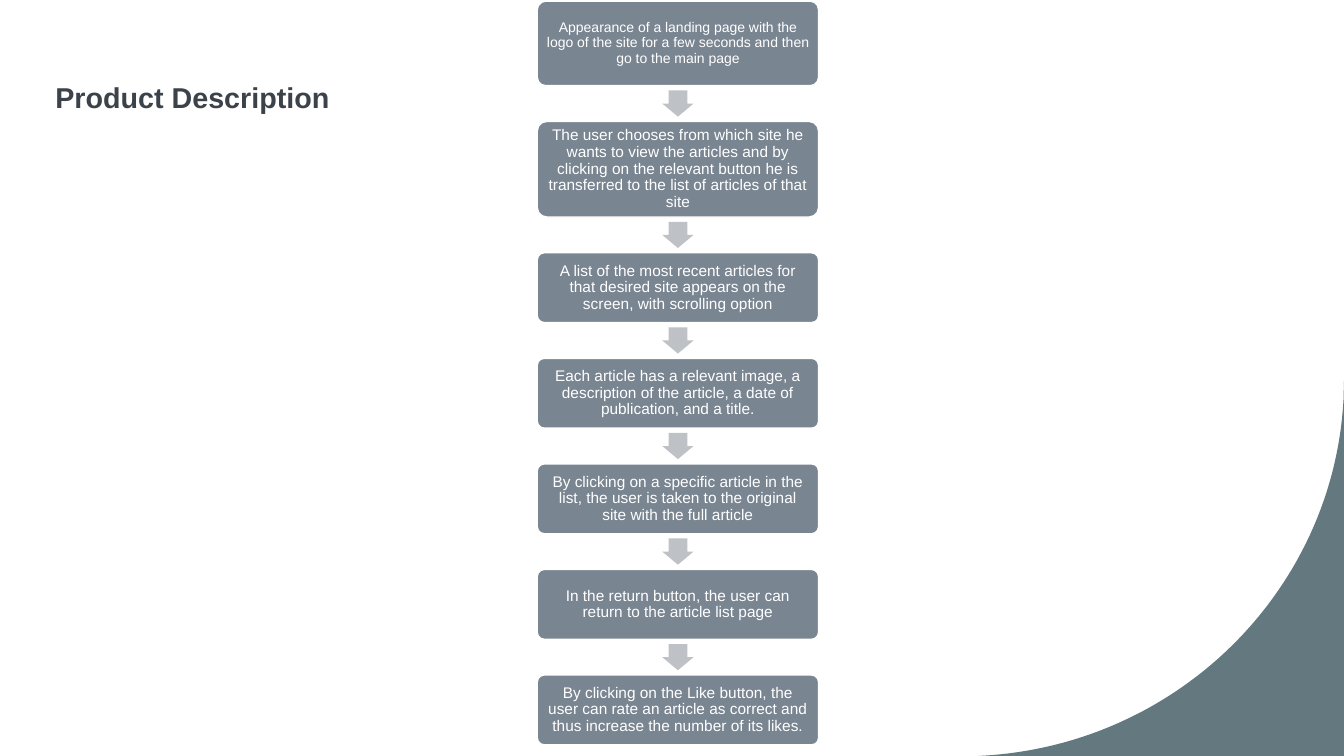
"""Build the product description slide with its vertical flow of user steps."""
from pptx import Presentation
from pptx.dml.color import RGBColor
from pptx.enum.shapes import MSO_SHAPE as Shape
from pptx.enum.text import MSO_ANCHOR as Anchor, MSO_AUTO_SIZE as AutoSize, PP_ALIGN as Align
from pptx.util import Cm, Pt

WHITE = RGBColor(0xFF, 0xFF, 0xFF)
TITLE_GREY = RGBColor(0x3C, 0x42, 0x4A)
STEP_GREY = RGBColor(0x7A, 0x85, 0x92)
ARROW_GREY = RGBColor(0xBE, 0xC2, 0xC7)
CORNER_TEAL = RGBColor(0x63, 0x78, 0x7F)

STEPS = [
    ("Appearance of a landing page with the logo of the site for a few seconds "
     "and then go to the main page", 2.13, 10),
    ("The user chooses from which site he wants to view the articles and by clicking "
     "on the relevant button he is transferred to the list of articles of that site", 2.41, 11),
    ("A list of the most recent articles for that desired site appears on the screen, "
     "with scrolling option", 1.76, 11),
    ("Each article has a relevant image, a description of the article, "
     "a date of publication, and a title.", 1.76, 11),
    ("By clicking on a specific article in the list, the user is taken to "
     "the original site with the full article", 1.76, 11),
    ("In the return button, the user can return to the article list page", 1.76, 11),
    ("By clicking on the Like button, the user can rate an article as correct "
     "and thus increase the number of its likes.", 1.76, 11),
]
STEP_LEFT, STEP_WIDTH, STEP_GAP = 13.54, 7.09, 0.9
ARROW_WIDTH, ARROW_HEIGHT = 0.79, 0.66
INSET = Cm(0.18)
CURVE = [(24.66, 19.05), (29.64, 18.82), (33.6, 14.91), (33.86, 10.06)]
CURVE_PIECES = 60


def paint(shape, color):
    shape.shadow.inherit = False
    shape.fill.solid()
    shape.fill.fore_color.rgb = color
    shape.line.fill.background()


prs = Presentation()
prs.slide_width, prs.slide_height = Cm(33.87), Cm(19.05)
slide = prs.slides.add_slide(prs.slide_layouts[5])

curve_points = []
for piece in range(CURVE_PIECES + 1):
    t = piece / CURVE_PIECES
    weights = [(1 - t) ** 3, 3 * t * (1 - t) ** 2, 3 * t ** 2 * (1 - t), t ** 3]
    curve_points.append(tuple(
        Cm(sum(w * point[axis] for w, point in zip(weights, CURVE))) for axis in (0, 1)))
outline = slide.shapes.build_freeform(Cm(33.87), Cm(19.05))
outline.add_line_segments(curve_points + [(Cm(33.87), Cm(9.6))], close=True)
paint(outline.convert_to_shape(), CORNER_TEAL)

title = slide.shapes.title
title.left, title.top, title.width, title.height = Cm(1.14), Cm(1.8), Cm(11.5), Cm(1.5)
title.text_frame.text = "Product Description"
title.text_frame.auto_size = AutoSize.NONE
title.text_frame.vertical_anchor = Anchor.TOP
heading = title.text_frame.paragraphs[0]
heading.alignment = Align.LEFT
heading.line_spacing = 1.1
heading.font.name, heading.font.size, heading.font.bold = "Arial", Pt(20.5), True
heading.font.color.rgb = TITLE_GREY

top = 0.03
for number, (wording, height, size) in enumerate(STEPS):
    if number:
        arrow = slide.shapes.add_shape(
            Shape.DOWN_ARROW, Cm(STEP_LEFT + (STEP_WIDTH - ARROW_WIDTH) / 2),
            Cm(top - (STEP_GAP + ARROW_HEIGHT) / 2), Cm(ARROW_WIDTH), Cm(ARROW_HEIGHT))
        arrow.adjustments[0], arrow.adjustments[1] = 0.6, 0.5
        paint(arrow, ARROW_GREY)

    step = slide.shapes.add_shape(
        Shape.ROUNDED_RECTANGLE, Cm(STEP_LEFT), Cm(top), Cm(STEP_WIDTH), Cm(height))
    step.adjustments[0] = 0.1
    paint(step, STEP_GREY)
    step.line.color.rgb = WHITE
    step.line.width = Pt(1)

    frame = step.text_frame
    frame.text = wording
    frame.word_wrap = True
    frame.vertical_anchor = Anchor.MIDDLE
    frame.margin_left = frame.margin_right = frame.margin_top = frame.margin_bottom = INSET
    paragraph = frame.paragraphs[0]
    paragraph.alignment = Align.CENTER
    paragraph.line_spacing = 0.9
    paragraph.font.name, paragraph.font.size = "Arial", Pt(size)
    paragraph.font.color.rgb = WHITE
    top += height + STEP_GAP

prs.save("out.pptx")
